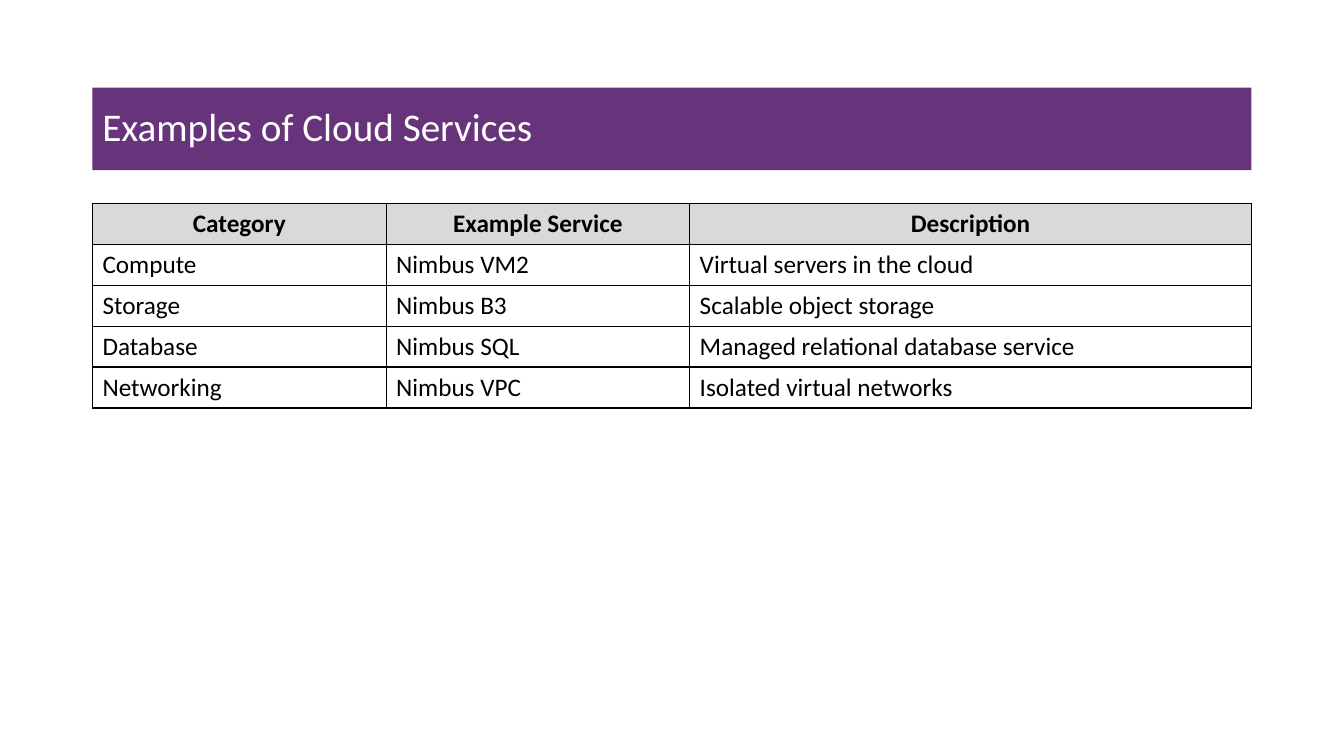
from dataclasses import dataclass

from lxml.etree import SubElement
from pptx import Presentation
from pptx.dml.color import RGBColor
from pptx.enum.shapes import MSO_SHAPE
from pptx.enum.text import MSO_ANCHOR, PP_ALIGN
from pptx.oxml.ns import qn
from pptx.util import Cm, Pt


@dataclass(frozen=True)
class Theme:
    font: str = "Calibri"
    title_size: int = 28
    table_size: int = 18
    border_width: int = 1
    purple: str = "67337A"
    header_gray: str = "D9D9D9"
    white: str = "FFFFFF"
    black: str = "000000"


class SlideBuilder:
    def __init__(self, slide, theme):
        self.slide = slide
        self.theme = theme

    def add_run(self, paragraph, text, size, color, bold=False):
        run = paragraph.add_run()
        run.text = text
        run.font.name = self.theme.font
        run.font.size = Pt(size)
        run.font.bold = bold
        run.font.color.rgb = RGBColor.from_string(color)

    def add_title(self, text, left, top, width, height):
        shape = self.slide.shapes.add_shape(
            MSO_SHAPE.RECTANGLE, Cm(left), Cm(top), Cm(width), Cm(height))
        shape.shadow.inherit = False
        shape.fill.solid()
        shape.fill.fore_color.rgb = RGBColor.from_string(self.theme.purple)
        shape.line.fill.background()
        shape.text_frame.word_wrap = True
        shape.text_frame.vertical_anchor = MSO_ANCHOR.MIDDLE
        paragraph = shape.text_frame.paragraphs[0]
        paragraph.alignment = PP_ALIGN.LEFT
        paragraph.line_spacing = 0.9
        self.add_run(paragraph, text, self.theme.title_size, self.theme.white)

    def add_borders(self, cell):
        properties = cell._tc.get_or_add_tcPr()
        for position, side in enumerate(("lnL", "lnR", "lnT", "lnB")):
            line = SubElement(properties, qn(f"a:{side}"), w=str(Pt(self.theme.border_width)))
            fill = SubElement(line, qn("a:solidFill"))
            SubElement(fill, qn("a:srgbClr"), val=self.theme.black)
            properties.insert(position, line)

    def fill_cell(self, cell, text, is_header):
        cell.vertical_anchor = MSO_ANCHOR.MIDDLE
        if is_header:
            cell.fill.solid()
            cell.fill.fore_color.rgb = RGBColor.from_string(self.theme.header_gray)
        else:
            cell.fill.background()
        self.add_borders(cell)
        paragraph = cell.text_frame.paragraphs[0]
        paragraph.alignment = PP_ALIGN.CENTER if is_header else PP_ALIGN.LEFT
        self.add_run(paragraph, text, self.theme.table_size, self.theme.black, is_header)

    def add_table(self, rows, left, top, column_widths, row_height):
        table = self.slide.shapes.add_table(
            len(rows), len(column_widths), Cm(left), Cm(top),
            Cm(sum(column_widths)), Cm(row_height * len(rows))).table
        table.horz_banding = False
        for column, width in zip(table.columns, column_widths):
            column.width = Cm(width)
        for row_index, row in enumerate(rows):
            table.rows[row_index].height = Cm(row_height)
            for column_index, text in enumerate(row):
                self.fill_cell(table.cell(row_index, column_index), text, row_index == 0)


def main():
    presentation = Presentation()
    presentation.slide_width = Cm(33.87)
    presentation.slide_height = Cm(19.05)
    slide = presentation.slides.add_slide(presentation.slide_layouts[6])
    builder = SlideBuilder(slide, Theme())

    left = 2.33
    column_widths = (7.4, 7.65, 14.16)
    services = (
        ("Category", "Example Service", "Description"),
        ("Compute", "Nimbus VM2", "Virtual servers in the cloud"),
        ("Storage", "Nimbus B3", "Scalable object storage"),
        ("Database", "Nimbus SQL", "Managed relational database service"),
        ("Networking", "Nimbus VPC", "Isolated virtual networks"),
    )
    builder.add_title("Examples of Cloud Services", left, 2.21, sum(column_widths), 2.08)
    builder.add_table(services, left, 5.13, column_widths, 1.03)
    presentation.save("out.pptx")


if __name__ == "__main__":
    main()
